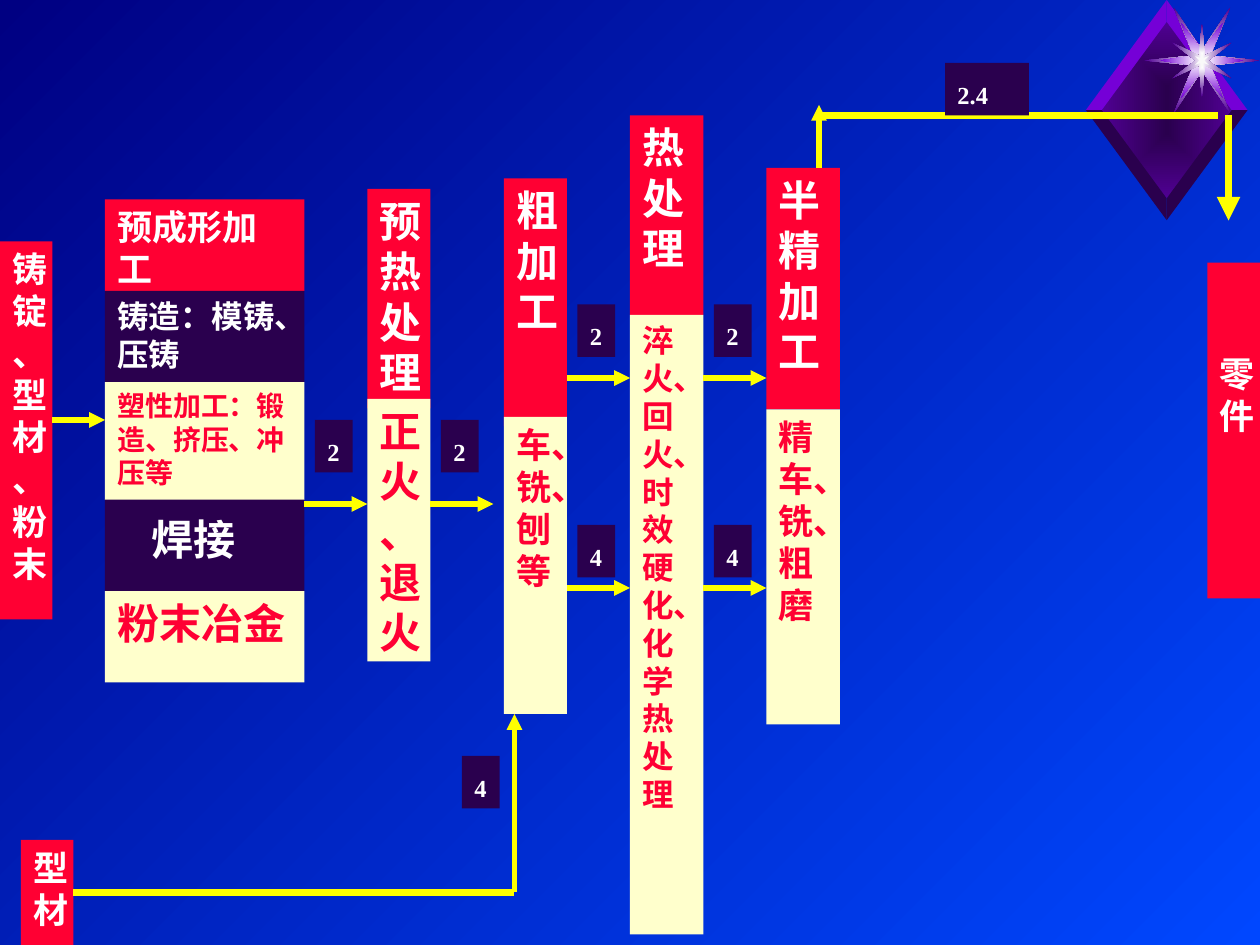
from lxml.etree import SubElement
from pptx import Presentation
from pptx.dml.color import RGBColor
from pptx.enum.shapes import MSO_CONNECTOR, MSO_SHAPE
from pptx.enum.text import MSO_ANCHOR, PP_ALIGN
from pptx.oxml.ns import qn
from pptx.util import Cm, Pt

RED = RGBColor(0xFF, 0x00, 0x33)
CREAM = RGBColor(0xFF, 0xFF, 0xCC)
PLUM = RGBColor(0x2A, 0x00, 0x4E)
GRAPE = RGBColor(0x50, 0x00, 0x93)
VIOLET = RGBColor(0x75, 0x00, 0xD7)
WHITE = RGBColor(0xFF, 0xFF, 0xFF)
PALE = RGBColor(0xF9, 0xF9, 0xF9)
YELLOW = RGBColor(0xFF, 0xFF, 0x00)
BLUE = RGBColor(0x00, 0x47, 0xFF)
NAVY = RGBColor(0x00, 0x00, 0x82)


def unit(n):
    return Cm(n * 2.54 / 12)


class Deck:
    font = "Times New Roman"

    def __init__(self):
        self.file = Presentation()
        self.file.slide_width = Cm(25.4)
        self.file.slide_height = Cm(19.05)
        self.slide = self.file.slides.add_slide(self.file.slide_layouts[6])
        self.shapes = self.slide.shapes

    def blend(self, fill, first, last):
        fill.gradient()
        for stop, color, place in zip(fill.gradient_stops, (first, last), (0, 1)):
            stop.color.rgb = color
            stop.position = place

    def ground(self, first, last):
        fill = self.slide.background.fill
        self.blend(fill, first, last)
        fill.gradient_angle = 135

    def outline(self, mid, points, first, last=None):
        spots = [(Cm(mid[0] + x), Cm(mid[1] + y)) for x, y in points]
        form = self.shapes.build_freeform(*spots[0], scale=1.0)
        form.add_line_segments(spots[1:], close=True)
        shape = form.convert_to_shape()
        shape.shadow.inherit = False
        shape.line.fill.background()
        if last is None:
            shape.fill.solid()
            shape.fill.fore_color.rgb = first
            return
        self.blend(shape.fill, first, last)
        grad = shape._element.spPr.find(qn("a:gradFill"))
        grad.remove(grad.find(qn("a:lin")))
        path = SubElement(grad, qn("a:path"), {"path": "rect"})
        SubElement(path, qn("a:fillToRect"), {side: "50000" for side in "ltrb"})

    def star(self, mid, quarter, first, last=None):
        left = [(-x, y) for x, y in reversed(quarter[:-1])]
        half = quarter + left
        low = [(x, -y) for x, y in reversed(half[1:-1])]
        self.outline(mid, half + low, first, last)

    def box(self, x, y, w, h, text, size, fill, ink=WHITE, top=0.13, indent=0, space=None):
        shape = self.shapes.add_shape(
            MSO_SHAPE.RECTANGLE, unit(x), unit(y), unit(w), unit(h))
        shape.shadow.inherit = False
        shape.fill.solid()
        shape.fill.fore_color.rgb = fill
        shape.line.fill.background()
        frame = shape.text_frame
        frame.word_wrap = True
        frame.vertical_anchor = MSO_ANCHOR.TOP
        frame.margin_left = Cm(0.25 + indent)
        frame.margin_right = Cm(0.25)
        frame.margin_top = Cm(top)
        frame.margin_bottom = Cm(0.13)
        para = frame.paragraphs[0]
        para.alignment = PP_ALIGN.LEFT
        if space:
            para.line_spacing = space
        run = para.add_run()
        run.text = text
        run.font.name = self.font
        run.font.size = Pt(size)
        run.font.bold = True
        run.font.color.rgb = ink
        return shape

    def label(self, x, y, text, w=3.6):
        self.box(x, y, w, 5, text, 14, PLUM, space=1.35)

    def line(self, x1, y1, x2, y2, width=3, arrow=True):
        line = self.shapes.add_connector(
            MSO_CONNECTOR.STRAIGHT, unit(x1), unit(y1), unit(x2), unit(y2))
        line.line.color.rgb = YELLOW
        line.line.width = Pt(width)
        if arrow:
            SubElement(line.line._get_or_add_ln(), qn("a:tailEnd"), {"type": "triangle"})
        SubElement(line._element.spPr, qn("a:effectLst"))
        return line

    def jewel(self):
        mid = (23.52, 2.22)
        self.outline(mid, [(0, -1.78), (-1.31, 0), (0, 1.78), (1.31, 0)], PLUM, GRAPE)
        for way, color in ((-1, VIOLET), (1, PLUM)):
            for side in (1, -1):
                facet = [(0, way * 1.78), (0, way * 2.22), (side * 1.63, 0), (side * 1.31, 0)]
                self.outline(mid, facet, color)
        spark = (24.23, 1.22)
        self.star(spark, [(1.16, 0), (0.17, 0.1), (0.57, 1.07), (0, 0.2)], WHITE, GRAPE)
        self.star(spark, [(0.84, 0), (0.17, 0.1), (0.42, 0.76), (0, 0.2)], WHITE, VIOLET)
        self.star(spark, [(0.13, 0), (0.6, 0.36), (0.06, 0.1), (0, 0.74)], WHITE, GRAPE)
        self.star(spark, [(0.05, 0), (0.14, 0.09), (0.03, 0.05), (0, 0.18)], PALE)


def main():
    deck = Deck()
    deck.ground(BLUE, NAVY)
    deck.jewel()

    deck.box(0, 23, 5, 36, "铸锭、型材、粉末", 20, RED)
    forms = [
        (8.7, "预成形加工", 20, RED, WHITE, {}),
        (8.7, "铸造：模铸、压铸", 18, PLUM, WHITE, {}),
        (11.2, "塑性加工：锻造、挤压、冲压等", 16, CREAM, RED, {}),
        (8.7, "焊接", 24, PLUM, WHITE, {"top": 0.27, "indent": 0.68}),
        (8.7, "粉末冶金", 24, CREAM, RED, {}),
    ]
    y = 19
    for h, text, size, fill, ink, extra in forms:
        deck.box(10, y, 19, h, text, size, fill, ink, **extra)
        y += h

    steps = [
        (35, 6, 18, 20.9, "预热处理", 38, 25, "正火、退火", 24),
        (48, 6, 17, 23.6, "粗加工", 39.7, 28.3, "车、铣、刨等", 20),
        (60, 7, 11, 19, "热处理", 30, 59, "淬火、回火、时效硬化、化学热处理", 18),
        (73, 7, 16, 23, "半精加工", 39, 30, "精车、铣、粗磨", 20),
    ]
    for x, w, top, head, name, mid, body, work, size in steps:
        deck.box(x, top, w, head, name, 24, RED)
        deck.box(x, mid, w, body, work, size, CREAM, RED)
    deck.box(115, 25, 5, 32, "零件", 20, RED, top=1.82)
    stock = deck.box(2, 80, 5, 10, "型材", 20, RED)

    deck.line(5, 40, 10, 40)
    for x in (29, 41):
        deck.line(x, 48, x + 6, 48)
        deck.label(x + 1, 40, "2")
    for x in (54, 67):
        for y, drop, text in ((36, 7, "2"), (56, 6, "4")):
            deck.line(x, y, x + 6, y)
            deck.label(x + 1, y - drop, text)

    feed = deck.line(7, 85, 49, 85, 4.5, False)
    feed.begin_connect(stock, 3)
    deck.line(49, 85, 49, 68)
    deck.label(44, 72, "4")

    deck.line(117, 11, 117, 21, 4.5)
    deck.line(78, 16, 78, 10)
    deck.line(78, 11, 116, 11, 4.5, False)
    deck.label(90, 6, "2.4", 8)
    deck.file.save("out.pptx")


if __name__ == "__main__":
    main()
